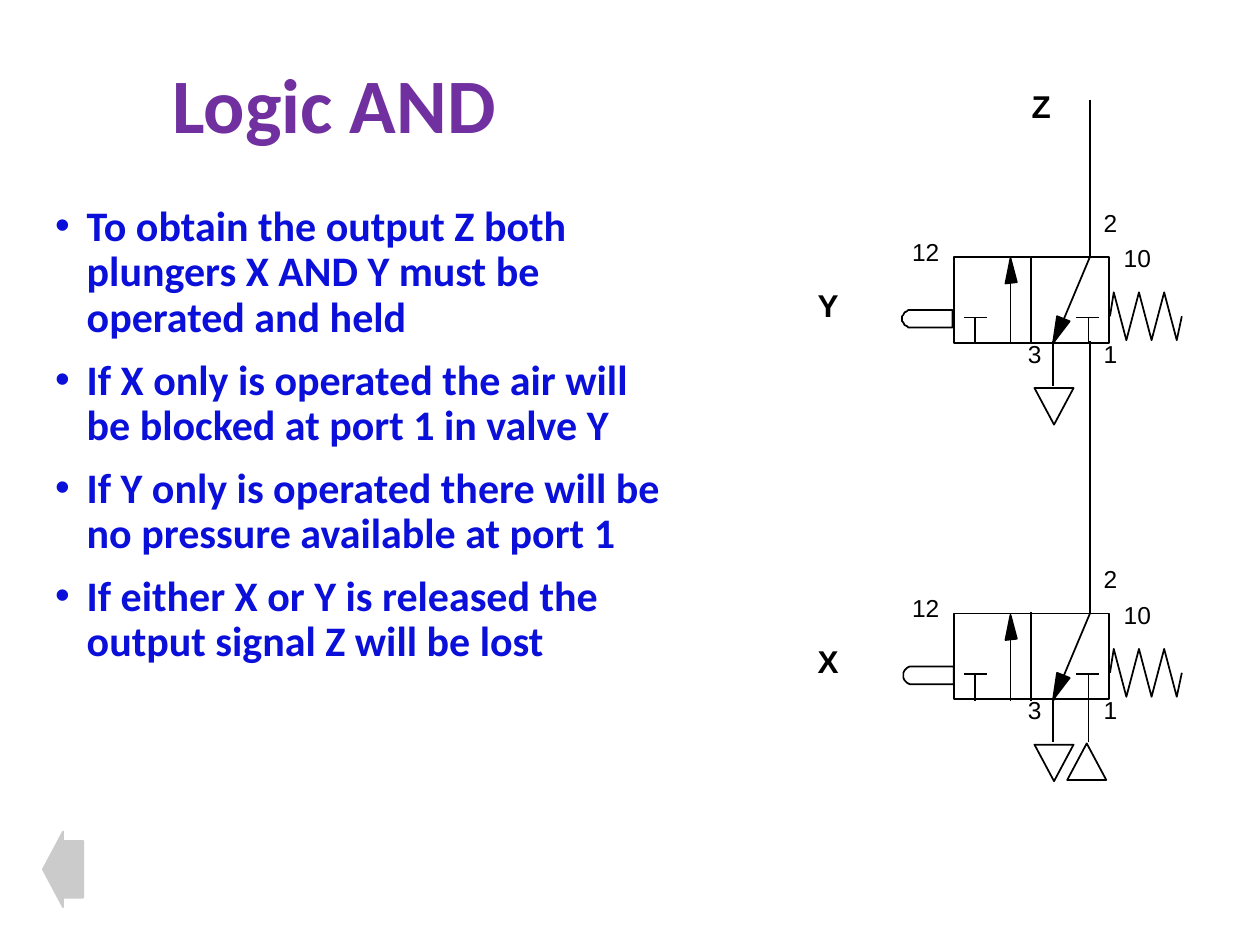
"""Build the Logic AND slide: four bullets beside two 3/2 valves in series."""
from math import cos, radians, sin

from lxml.etree import SubElement
from pptx import Presentation
from pptx.dml.color import RGBColor
from pptx.enum.shapes import MSO_CONNECTOR, MSO_SHAPE
from pptx.enum.text import MSO_ANCHOR, MSO_AUTO_SIZE
from pptx.oxml.ns import qn
from pptx.util import Pt

PX = 9144
BLACK, GREY, BLUE, PURPLE = "000000", "CBCBCB", "0A0FDA", "7030A0"


def paint(shape, line, fill=None):
    shape.shadow.inherit = False
    shape.line.color.rgb = RGBColor.from_string(line)
    shape.line.width = Pt(1)
    if fill:
        shape.fill.solid()
        shape.fill.fore_color.rgb = RGBColor.from_string(fill)
    else:
        shape.fill.background()


def write(paragraph, text, font, size, color, bold):
    paragraph.text = text
    for run in paragraph.runs:
        run.font.name = font
        run.font.size = Pt(size)
        run.font.bold = bold
        run.font.color.rgb = RGBColor.from_string(color)


prs = Presentation()
prs.slide_width, prs.slide_height = 1000 * PX, 750 * PX
shapes = prs.slides.add_slide(prs.slide_layouts[6]).shapes

title = shapes.add_textbox(127 * PX, 46 * PX, 747 * PX, 81 * PX).text_frame
title.word_wrap = True
title.vertical_anchor = MSO_ANCHOR.MIDDLE
write(title.paragraphs[0], "Logic AND", "Calibri", 44, PURPLE, True)
title.paragraphs[0].line_spacing = 0.9

rules = [
    "To obtain the output Z both plungers X AND Y must be operated and held",
    "If X only is operated the air will be blocked at port 1 in valve Y",
    "If Y only is operated there will be no pressure available at port 1",
    "If either X or Y is released the output signal Z will be lost",
]
body = shapes.add_textbox(34 * PX, 158 * PX, 506 * PX, 492 * PX).text_frame
body.word_wrap = True
for index, rule in enumerate(rules):
    paragraph = body.add_paragraph() if index else body.paragraphs[0]
    props = paragraph._p.get_or_add_pPr()
    props.set("marL", str(25 * PX))
    props.set("indent", str(-25 * PX))
    bullet_color = SubElement(props, qn("a:buClr"))
    SubElement(bullet_color, qn("a:srgbClr")).set("val", BLUE)
    SubElement(props, qn("a:buFont")).set("typeface", "Arial")
    SubElement(props, qn("a:buChar")).set("char", "•")
    write(paragraph, rule, "Calibri", 24, BLUE, True)
    paragraph.line_spacing = 0.9
    if index:
        paragraph.space_before = Pt(10)

pipes = [(865, 79, 865, 203), (865, 271, 865, 487), (864, 555, 864, 589)]
triangles = [(847, 590, 0)]
labels = [("Z", 809, 64, 36, 40, 18, True)]
outlines = []
bodies = []

valve_pipes = [
    (836, 271, 836, 306),
    (864, 252, 864, 273),
    (854, 252, 872, 252),
    (765, 252, 783, 252),
    (774, 252, 774, 273),
    (818, 203, 818, 273),
    (865, 204, 836, 273),
    (802, 273, 802, 204),
]
ports = [("1", 866, 264, 31), ("2", 866, 160, 31), ("3", 806, 264, 31),
         ("12", 714, 183, 42), ("10", 882, 188, 42)]
arrowheads = [
    [(802, 205), (798, 225), (807, 224)],
    [(836, 272), (836, 271), (839, 251), (849, 255)],
]
spring = [(938, 251), (934, 270), (924, 232), (914, 270),
          (904, 232), (894, 270), (884, 232), (881, 251)]
cap = [(724 - 7 * cos(radians(a)), 253 + 7 * sin(radians(a))) for a in range(90, -91, -15)]
plunger = [(757, 246), (757, 260)] + cap

for valve, drop, shift in (("Y", 0, -1), ("X", 283, 0)):
    bodies.append((757, 204 + drop, 123, 68))
    pipes += [(x1, y1 + drop, x2, y2 + drop) for x1, y1, x2, y2 in valve_pipes]
    triangles.append((821, 308 + drop, 180))
    labels += [(port, x, y + drop, w, 33, 14, False) for port, x, y, w in ports]
    labels.append((valve, 639, 222 + drop, 37, 40, 18, True))
    for points, dx, closed, fill in (
        (arrowheads[0], 0, True, BLACK),
        (arrowheads[1], 0, True, BLACK),
        (spring, 0, False, None),
        (plunger, shift, True, None),
    ):
        outlines.append(([(x + dx, y + drop) for x, y in points], closed, fill))

for x, y, w, h in bodies:
    paint(shapes.add_shape(MSO_SHAPE.RECTANGLE, x * PX, y * PX, w * PX, h * PX), BLACK)

for x1, y1, x2, y2 in pipes:
    pipe = shapes.add_connector(MSO_CONNECTOR.STRAIGHT, x1 * PX, y1 * PX, x2 * PX, y2 * PX)
    pipe.line.color.rgb = RGBColor.from_string(BLACK)
    pipe.line.width = Pt(1)
    SubElement(pipe._element.spPr, qn("a:effectLst"))

for points, closed, fill in outlines:
    builder = shapes.build_freeform(*points[0], scale=PX)
    builder.add_line_segments(points[1:], close=closed)
    paint(builder.convert_to_shape(), BLACK, fill)

for x, y, turn in triangles:
    vent = shapes.add_shape(MSO_SHAPE.ISOSCELES_TRIANGLE, x * PX, y * PX, 31 * PX, 29 * PX)
    vent.rotation = turn
    paint(vent, BLACK)

for text, x, y, w, h, size, bold in labels:
    label = shapes.add_textbox(x * PX, y * PX, w * PX, h * PX).text_frame
    label.word_wrap = False
    label.auto_size = MSO_AUTO_SIZE.SHAPE_TO_FIT_TEXT
    write(label.paragraphs[0], text, "Arial", size, BLACK, bold)

back = shapes.add_shape(MSO_SHAPE.LEFT_ARROW, 34 * PX, 660 * PX, 32 * PX, 60 * PX)
back.adjustments[0] = 0.75
paint(back, GREY, GREY)

prs.save("out.pptx")
